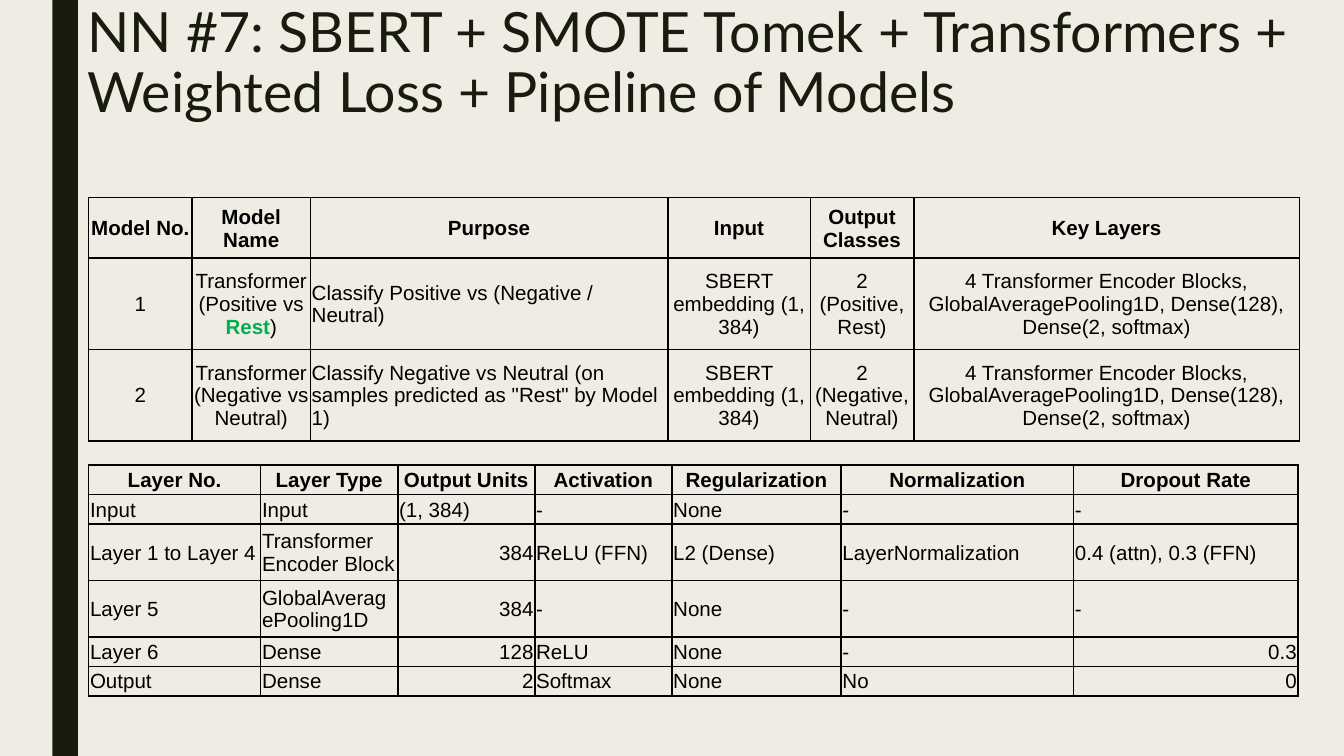
from pptx import Presentation
from pptx.dml.color import RGBColor as RGB
from pptx.enum.shapes import MSO_SHAPE as Shape
from pptx.enum.text import MSO_ANCHOR as Anchor, PP_ALIGN as Align
from pptx.oxml import parse_xml
from pptx.oxml.ns import nsdecls
from pptx.util import Inches, Pt

WIDE = 10
HIGH = WIDE * 9 / 16
INK, PAPER, BLACK, GREEN = "191B0E", "EFEDE3", "000000", "00B050"
SIDES = {"l": Align.LEFT, "c": Align.CENTER, "r": Align.RIGHT}
BLOCKS = "4 Transformer Encoder Blocks, GlobalAveragePooling1D, Dense(128), Dense(2, softmax)"
EMBED = "SBERT embedding (1, 384)"

MODELS = [
    ["Model No.", "Model Name", "Purpose", "Input", "Output Classes", "Key Layers"],
    ["1", "Transformer (Positive vs *Rest*)", "Classify Positive vs (Negative / Neutral)",
     EMBED, "2 (Positive, Rest)", BLOCKS],
    ["2", "Transformer (Negative vs Neutral)",
     'Classify Negative vs Neutral (on samples predicted as "Rest" by Model 1)',
     EMBED, "2 (Negative, Neutral)", BLOCKS],
]
LAYERS = [
    ["Layer No.", "Layer Type", "Output Units", "Activation", "Regularization",
     "Normalization", "Dropout Rate"],
    ["Input", "Input", "(1, 384)", "-", "None", "-", "-"],
    ["Layer 1 to Layer 4", "Transformer Encoder Block", "384", "ReLU (FFN)", "L2 (Dense)",
     "LayerNormalization", "0.4 (attn), 0.3 (FFN)"],
    ["Layer 5", "GlobalAveragePooling1D", "384", "-", "None", "-", "-"],
    ["Layer 6", "Dense", "128", "ReLU", "None", "-", "0.3"],
    ["Output", "Dense", "2", "Softmax", "None", "No", "0"],
]


def color(code):
    return RGB.from_string(code)


def style(font, name, size, code, bold=False):
    font.name, font.size, font.bold = name, Pt(size), bold
    font.color.rgb = color(code)


def add_bar(slide, box):
    bar = slide.shapes.add_shape(Shape.RECTANGLE, *map(Inches, box))
    bar.shadow.inherit = False
    bar.fill.solid()
    bar.fill.fore_color.rgb = color(INK)
    bar.line.fill.background()


def add_title(slide, box, text):
    frame = slide.shapes.add_textbox(*map(Inches, box)).text_frame
    frame.word_wrap = True
    frame.vertical_anchor = Anchor.TOP
    frame.margin_left = frame.margin_right = Inches(0.07)
    frame.margin_top = frame.margin_bottom = Inches(0.04)
    frame.text = text
    line = frame.paragraphs[0]
    line.line_spacing = 0.89
    style(line.runs[0].font, "Lato", 29.7, INK)


def add_borders(cell):
    props = cell._tc.get_or_add_tcPr()
    for side in "LRTB":
        props.append(parse_xml(
            f'<a:ln{side} {nsdecls("a")} w="12700"><a:solidFill>'
            f'<a:srgbClr val="{BLACK}"/></a:solidFill></a:ln{side}>'))


def fill_cell(cell, text, side, head):
    cell.margin_left = cell.margin_right = cell.margin_top = Inches(0.01)
    cell.margin_bottom = 0
    cell.vertical_anchor = Anchor.MIDDLE
    add_borders(cell)
    cell.fill.background()
    line = cell.text_frame.paragraphs[0]
    line.alignment = SIDES[side]
    for i, part in enumerate(text.split("*")):
        run = line.add_run()
        run.text = part
        mark = i % 2 == 1
        style(run.font, "Arial", 11, GREEN if mark else BLACK, head or mark)


def add_grid(slide, box, data, widths, heights, sides):
    grid = slide.shapes.add_table(len(data), len(widths), *map(Inches, box)).table
    grid.first_row = grid.horz_banding = False
    for col, width in zip(grid.columns, widths):
        col.width = Inches(width)
    for r, (row, height) in enumerate(zip(data, heights)):
        grid.rows[r].height = Inches(height)
        for c, text in enumerate(row):
            side = "c" if r == 0 else sides[c]
            if side == "l" and text.replace(".", "").isdigit():
                side = "r"
            fill_cell(grid.cell(r, c), text, side, r == 0)


def main():
    deck = Presentation()
    deck.slide_width, deck.slide_height = Inches(WIDE), Inches(HIGH)
    slide = deck.slides.add_slide(deck.slide_layouts[6])
    slide.background.fill.solid()
    slide.background.fill.fore_color.rgb = color(PAPER)
    add_bar(slide, (0.39, 0, 0.19, HIGH))
    add_title(slide, (0.58, 0, 9.42, 1.22),
              "NN #7: SBERT + SMOTE Tomek + Transformers + Weighted Loss + Pipeline of Models")
    add_grid(slide, (0.66, 1.47, 9, 1.81), MODELS,
             [0.77, 0.88, 2.66, 1.06, 0.77, 2.87], [0.45, 0.68, 0.68], "cclccc")
    add_grid(slide, (0.66, 3.46, 9, 1.72), LAYERS,
             [1.28, 1.02, 1.02, 1.02, 1.26, 1.73, 1.67],
             [0.22, 0.22, 0.42, 0.42, 0.22, 0.22], "lllllll")
    deck.save("out.pptx")


if __name__ == "__main__":
    main()
